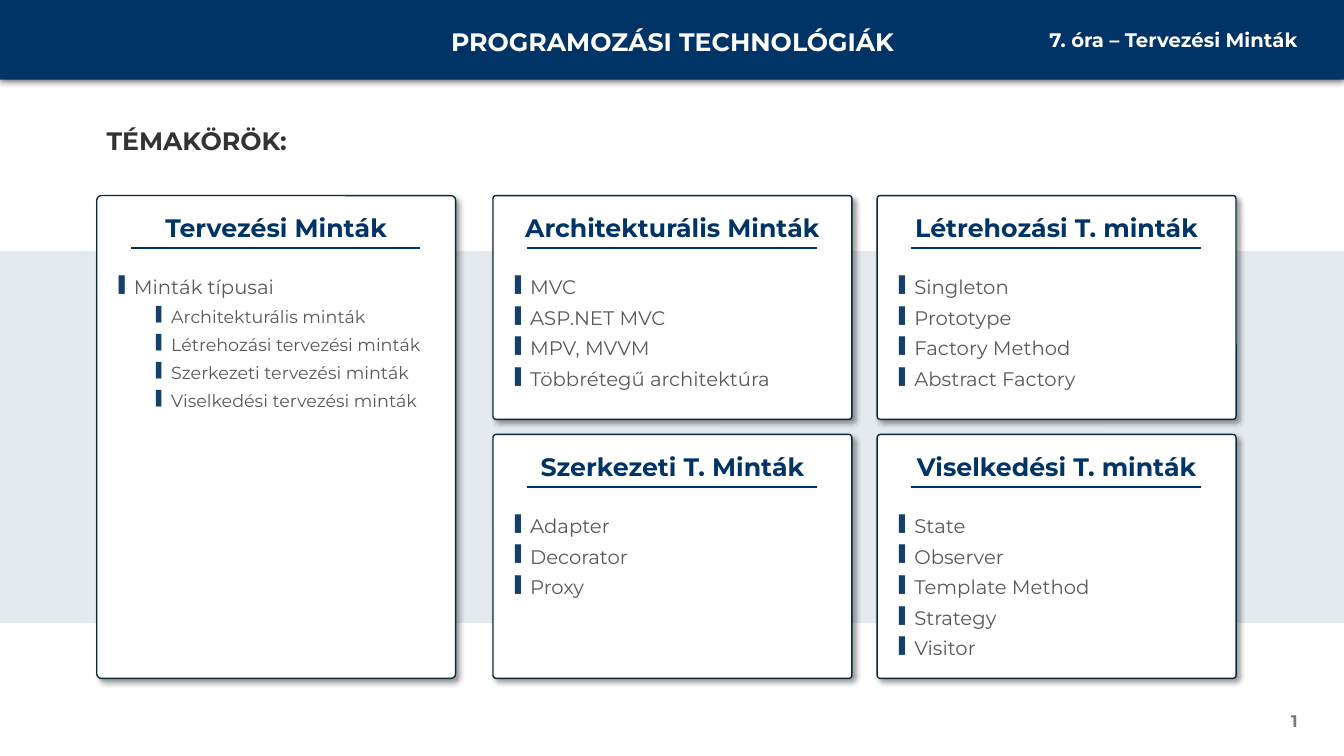
from lxml.etree import SubElement
from pptx import Presentation
from pptx.dml.color import RGBColor
from pptx.enum.shapes import MSO_CONNECTOR as Connector, MSO_SHAPE as Shape
from pptx.enum.text import MSO_ANCHOR as Anchor, PP_ALIGN as Align
from pptx.oxml.ns import qn
from pptx.util import Pt

PX = 9144  # EMU, 100 px to the inch
FONT = "Montserrat"
NAVY, WHITE, GREY = "003366", "FFFFFF", "58595B"
BULLET_COLOUR = "173F6C"

LEFT, MIDDLE, RIGHT = 96, 489, 870
TOP, BOTTOM = 194, 431
CARD_WIDTH = 356
UPPER_HEIGHT, LOWER_HEIGHT = 222, 242

# left, top, height, heading, entries as (level, text)
CARDS = [
    (LEFT, TOP, BOTTOM + LOWER_HEIGHT - TOP, "Tervezési Minták", [
        (0, "Minták típusai"),
        (1, "Architekturális minták"),
        (1, "Létrehozási tervezési minták"),
        (1, "Szerkezeti tervezési minták"),
        (1, "Viselkedési tervezési minták")]),
    (MIDDLE, TOP, UPPER_HEIGHT, "Architekturális Minták", [
        (0, "MVC"), (0, "ASP.NET MVC"), (0, "MPV, MVVM"),
        (0, "Többrétegű architektúra")]),
    (RIGHT, TOP, UPPER_HEIGHT, "Létrehozási T. minták", [
        (0, "Singleton"), (0, "Prototype"), (0, "Factory Method"),
        (0, "Abstract Factory")]),
    (MIDDLE, BOTTOM, LOWER_HEIGHT, "Szerkezeti T. Minták", [
        (0, "Adapter"), (0, "Decorator"), (0, "Proxy")]),
    (RIGHT, BOTTOM, LOWER_HEIGHT, "Viselkedési T. minták", [
        (0, "State"), (0, "Observer"), (0, "Template Method"),
        (0, "Strategy"), (0, "Visitor")]),
]


def px(*lengths):
    return [length * PX for length in lengths]


def colour(value):
    return RGBColor.from_string(value)


def add_panel(page, kind, box, fill, line=None):
    panel = page.shapes.add_shape(kind, *px(*box))
    panel.shadow.inherit = False
    panel.fill.solid()
    panel.fill.fore_color.rgb = colour(fill)
    if line:
        panel.line.color.rgb = colour(line)
        panel.line.width = Pt(1)
    else:
        panel.line.fill.background()
    return panel


def add_shadow(panel, opacity, blur, distance, angle):
    """Opacity in percent, blur and distance in points, angle in degrees."""
    effects = panel._element.spPr.find(qn("a:effectLst"))
    shadow = SubElement(effects, qn("a:outerShdw"), blurRad=str(Pt(blur)),
                        dist=str(Pt(distance)), dir=str(angle * 60000),
                        algn="ctr", rotWithShape="0")
    black = SubElement(shadow, qn("a:srgbClr"), val="000000")
    SubElement(black, qn("a:alpha"), val=str(opacity * 1000))


def style(para, size, fill, bold=False):
    para.font.name = FONT
    para.font.size = Pt(size)
    para.font.bold = bold
    para.font.color.rgb = colour(fill)


def add_frame(page, box):
    frame = page.shapes.add_textbox(*px(*box)).text_frame
    frame.word_wrap = True
    return frame


def add_label(page, box, text, size, fill, align=Align.LEFT, anchor=Anchor.TOP):
    frame = add_frame(page, box)
    frame.vertical_anchor = anchor
    para = frame.paragraphs[0]
    para.text = text
    para.alignment = align
    style(para, size, fill, bold=True)


def add_bullet(para, level):
    properties = para._p.get_or_add_pPr()
    indent, hanging = px(52 if level else 15, 15)
    properties.set("marL", str(indent))
    properties.set("indent", str(-hanging))
    SubElement(SubElement(properties, qn("a:buClr")), qn("a:srgbClr"),
               val=BULLET_COLOUR)
    SubElement(properties, qn("a:buSzPct"), val="80000")
    SubElement(properties, qn("a:buChar"), char="▌")


def add_entries(page, box, entries):
    frame = add_frame(page, box)
    for index, (level, text) in enumerate(entries):
        para = frame.add_paragraph() if index else frame.paragraphs[0]
        para.text = text
        para.level = level
        add_bullet(para, level)
        if index:
            para.space_before = Pt(3)
        para.space_after = Pt(2)
        style(para, 12.5 if level else 14, GREY)


def add_rule(page, left, right, y):
    rule = page.shapes.add_connector(Connector.STRAIGHT, *px(left, y, right, y))
    rule.line.color.rgb = colour(NAVY)
    rule.line.width = Pt(1.5)
    SubElement(rule._element.spPr, qn("a:effectLst"))


def add_card(page, box, heading, entries):
    left, top, width, height = box
    card = add_panel(page, Shape.ROUNDED_RECTANGLE, box, WHITE, "092A39")
    card.adjustments[0] = 0.013
    add_shadow(card, 40, 4, 3, 45)
    add_label(page, (left, top + 12, width, 40), heading, 18, NAVY, Align.CENTER)
    add_rule(page, left + 34, left + width - 35, top + 52)
    add_entries(page, (left + 12, top + 74, width - 25, height - 86), entries)


def add_band(page, box):
    band = add_panel(page, Shape.RECTANGLE, box, NAVY)
    tint = band._element.spPr.find(qn("a:solidFill"))[0]
    SubElement(tint, qn("a:alpha"), val="10000")


def add_header(page, box):
    left, top, width, height = box
    add_shadow(add_panel(page, Shape.RECTANGLE, box, NAVY), 80, 6, 0, 90)
    add_label(page, (left + 406, top + 21, 522, 40),
              "PROGRAMOZÁSI TECHNOLÓGIÁK", 18, WHITE, Align.CENTER)
    add_label(page, (left + width - 374, top + 23, 338, 34),
              "7. óra – Tervezési Minták", 14, WHITE, Align.RIGHT)


def add_topics_page(deck):
    page = deck.slides.add_slide(deck.slide_layouts[6])
    add_band(page, (0, 249, 1333, 369))
    add_header(page, (0, 0, 1333, 79))
    add_label(page, (LEFT, 119, CARD_WIDTH, 40), "TÉMAKÖRÖK:", 18, "333333")
    for left, top, height, heading, entries in CARDS:
        add_card(page, (left, top, CARD_WIDTH, height), heading, entries)
    add_label(page, (997, 695, 300, 40), "1", 12, "797979",
              Align.RIGHT, Anchor.MIDDLE)


def main():
    deck = Presentation()
    deck.slide_width, deck.slide_height = px(1333, 750)
    add_topics_page(deck)
    deck.save("out.pptx")


if __name__ == "__main__":
    main()
